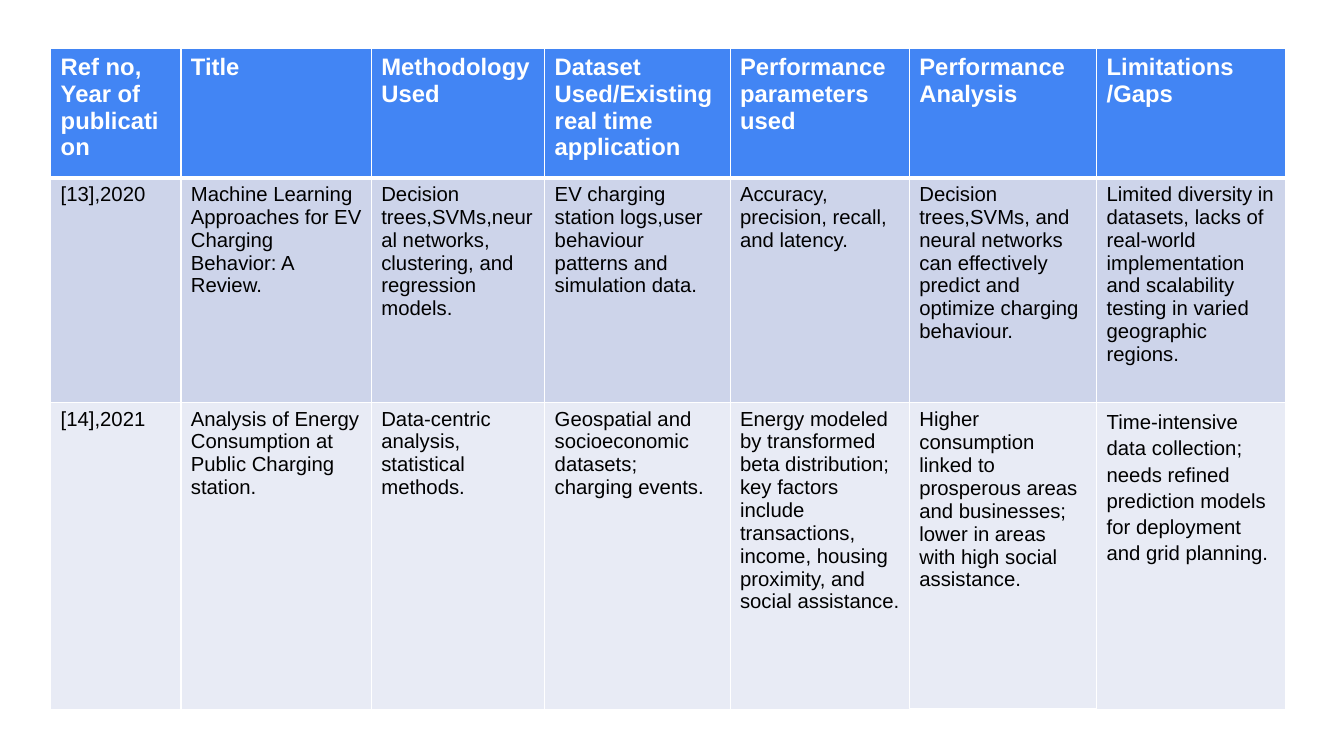
import pptx
import pptx.util
import pptx.dml.color
import pptx.oxml.ns
from lxml import etree

Cm = pptx.util.Cm
Pt = pptx.util.Pt
RGB = pptx.dml.color.RGBColor.from_string

hues = {"head": "4285F4", "odd": "CDD4EA", "even": "E8EBF5",
        "white": "FFFFFF", "black": "000000"}
widths = [3.28, 4.8, 4.37, 4.67, 4.52, 4.72, 4.75]

# Look of each row: height, fill and font
looks = [
    (3.25, "head", "white", {"name": "Arial", "size": Pt(17), "bold": True}),
    (5.66, "odd", "black", {"name": "Arial", "size": Pt(14.5), "bold": False}),
    (7.75, "even", "black", {"name": "Arial", "size": Pt(14.5), "bold": False}),
]
rows = [
    ["Ref no, Year of publication", "Title", "Methodology Used",
     "Dataset Used/Existing real time application",
     "Performance parameters used", "Performance Analysis",
     "Limitations /Gaps"],
    ["[13],2020",
     "Machine Learning Approaches for EV Charging Behavior: A Review.",
     "Decision trees,SVMs,neural networks, clustering, and regression models.",
     "EV charging station logs,user behaviour patterns and simulation data.",
     "Accuracy, precision, recall, and latency.",
     "Decision trees,SVMs, and neural networks can effectively predict and "
     "optimize charging behaviour.",
     "Limited diversity in datasets, lacks of real-world implementation and "
     "scalability testing in varied geographic regions."],
    ["[14],2021",
     "Analysis of Energy Consumption at Public Charging station.",
     "Data-centric analysis, statistical methods.",
     "Geospatial and socioeconomic datasets; charging events.",
     "Energy modeled by transformed beta distribution; key factors include "
     "transactions, income, housing proximity, and social assistance.",
     "Higher consumption linked to prosperous areas and businesses; lower in "
     "areas with high social assistance.",
     "Time-intensive data collection; needs refined prediction models for "
     "deployment and grid planning."],
]


def edge(cell, side, width):
    """Draw one white cell border."""
    qn = pptx.oxml.ns.qn
    line = etree.SubElement(cell._tc.get_or_add_tcPr(), qn("a:ln" + side),
                            w=str(Pt(width)))
    fill = etree.SubElement(line, qn("a:solidFill"))
    etree.SubElement(fill, qn("a:srgbClr"), val=hues["white"])


# Slide
deck = pptx.Presentation()
deck.slide_width, deck.slide_height = Cm(33.87), Cm(19.05)
slide = deck.slides.add_slide(deck.slide_layouts[6])

# Table grid
high = sum(look[0] for look in looks)
frame = slide.shapes.add_table(len(rows), len(widths), Cm(1.28), Cm(1.23),
                               Cm(sum(widths)), Cm(high))
table = frame.table
for col, width in zip(table.columns, widths):
    col.width = Cm(width)

# Cells
for r, (texts, (height, fill, ink, style)) in enumerate(zip(rows, looks)):
    table.rows[r].height = Cm(height)
    for c, text in enumerate(texts):
        cell = table.cell(r, c)
        thick = r == 0 or (r, c) == (2, 5)
        for side in "LRT":
            edge(cell, side, 3 if side == "T" and r == 1 else 1)
        edge(cell, "B", 3 if thick else 1)
        cell.fill.solid()
        cell.fill.fore_color.rgb = RGB(hues[fill])
        cell.margin_left = cell.margin_right = Cm(0.25)
        cell.margin_top = cell.margin_bottom = Cm(0.13)
        cell.text = text
        font = cell.text_frame.paragraphs[0].runs[0].font
        for key, value in style.items():
            setattr(font, key, value)
        font.color.rgb = RGB(hues[ink])

# Looser lines in the last cell
table.cell(2, 6).text_frame.paragraphs[0].line_spacing = 1.15

# Slightly deeper margins beside it
deep = table.cell(2, 5)
deep.margin_top = deep.margin_bottom = Cm(0.15)

deck.save("out.pptx")
